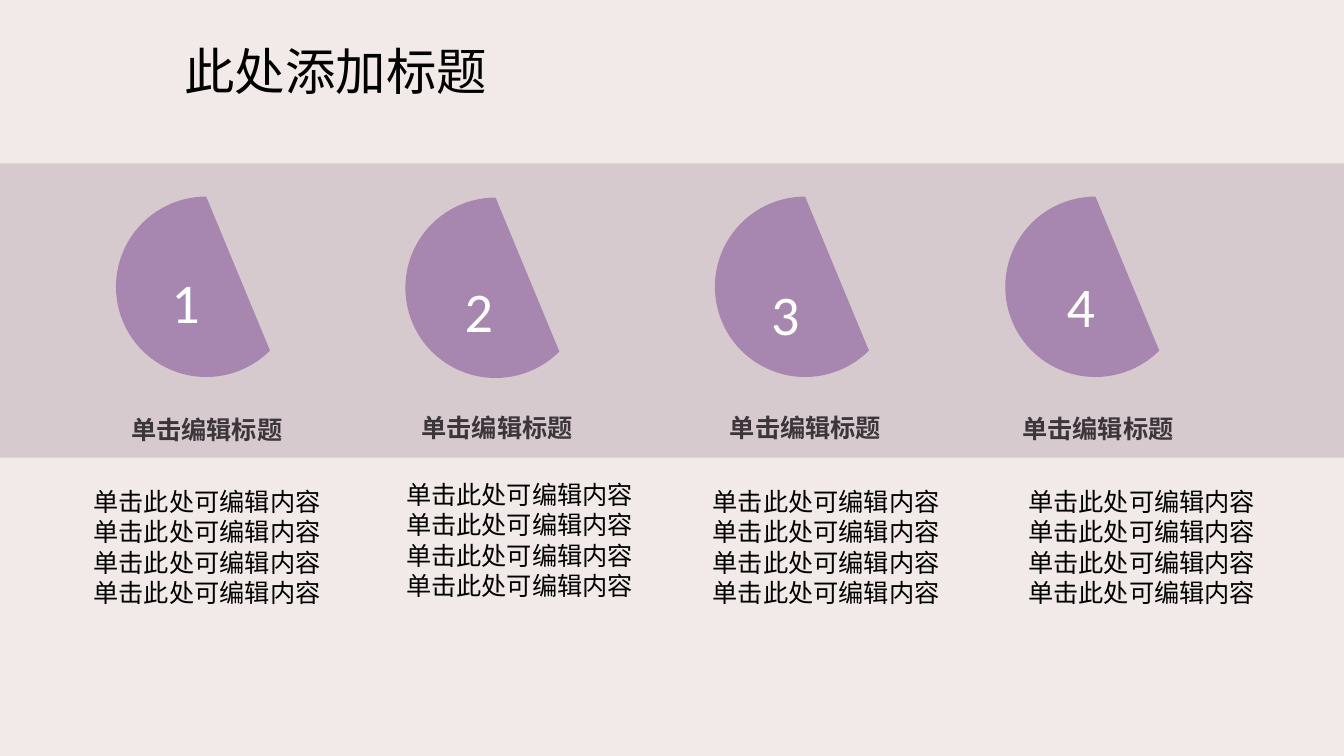
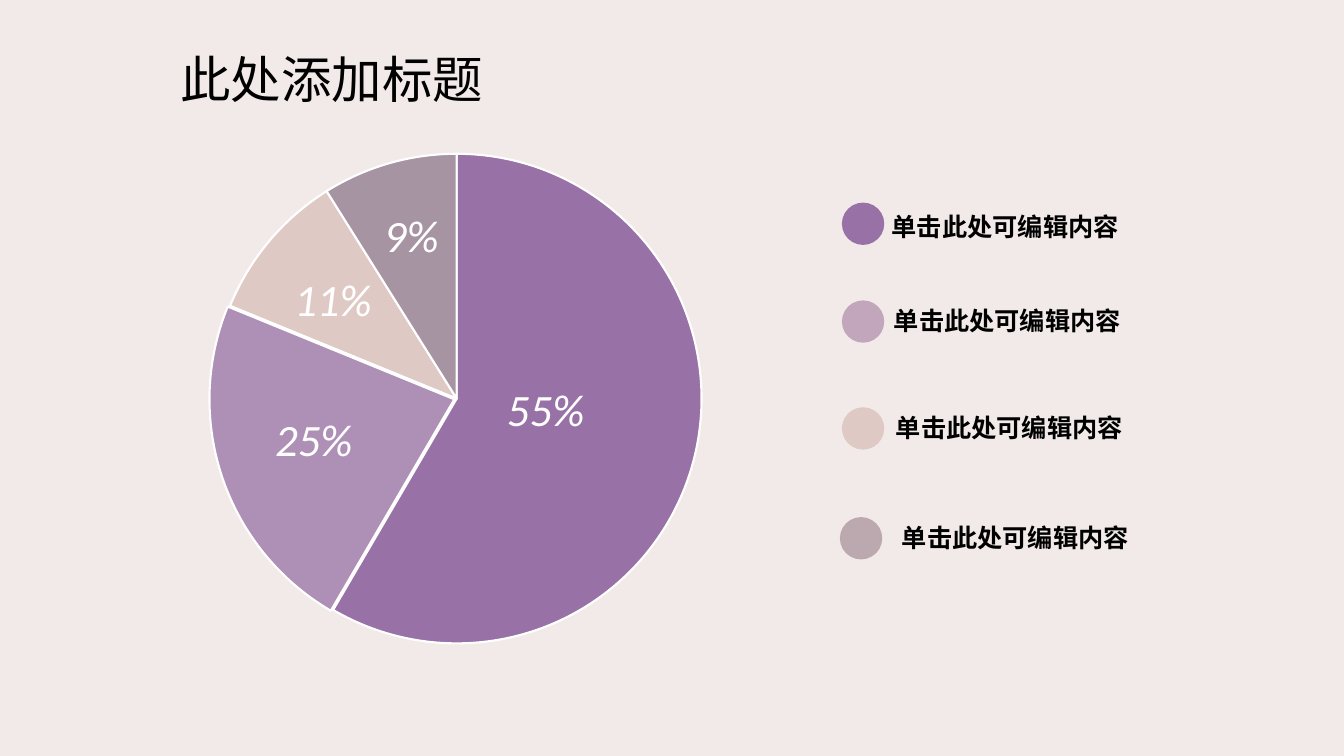
from dataclasses import dataclass

from lxml.etree import SubElement
from pptx import Presentation
from pptx.chart.data import CategoryChartData
from pptx.dml.color import RGBColor
from pptx.enum.chart import XL_CHART_TYPE
from pptx.enum.shapes import MSO_SHAPE
from pptx.enum.text import MSO_ANCHOR, MSO_AUTO_SIZE, PP_ALIGN
from pptx.oxml import parse_xml
from pptx.oxml.ns import nsdecls, qn
from pptx.util import Pt

EMU_PER_PX = 9144  # 100 px to the inch
TITLE_ONLY = 5


@dataclass(frozen=True)
class Theme:
    background: str = "F2EAE9"
    purple: str = "9871A6"
    lilac: str = "C1A6BC"
    blush: str = "DEC9C4"
    mauve: str = "A694A2"
    taupe: str = "BCA9B0"
    black: str = "000000"
    charcoal: str = "3C353A"
    white: str = "FFFFFF"
    latin: str = "Calibri"
    cjk: str = "Noto Sans CJK SC"
    title_size: int = 36
    number_size: int = 40
    percent_size: int = 32
    text_size: int = 18
    chart_size: int = 10
    cjk_leading: float = 1.21
    soft: int = 75
    faint: int = 36


THEME = Theme()


def px(*lengths):
    return [length * EMU_PER_PX for length in lengths]


def rgb(color):
    return RGBColor.from_string(color)


def fade(element, opacity):
    """Set the opacity, in percent, of the first colour inside element."""
    color = next(element.iter(qn("a:srgbClr")))
    SubElement(color, qn("a:alpha"), val=str(opacity * 1000))


def write(frame, text, size=THEME.text_size, color=THEME.black, font=THEME.cjk,
          align=PP_ALIGN.LEFT, bold=False, italic=False):
    frame.word_wrap = True
    frame.auto_size = MSO_AUTO_SIZE.NONE
    frame.vertical_anchor = MSO_ANCHOR.TOP
    paragraph = frame.paragraphs[0]
    paragraph.alignment = align
    if not text.isascii():
        paragraph.line_spacing = Pt(round(size * THEME.cjk_leading, 1))
    run = paragraph.add_run()
    run.text = text
    run.font.size = Pt(size)
    run.font.name = font
    run.font.bold = bold
    run.font.italic = italic
    run.font.color.rgb = rgb(color)
    SubElement(run._r.get_or_add_rPr(), qn("a:ea"), typeface=THEME.cjk)


class Deck:
    def __init__(self, width, height):
        self.presentation = Presentation()
        self.presentation.slide_width, self.presentation.slide_height = px(width, height)
        backdrop = self.presentation.slide_master.background.fill
        backdrop.solid()
        backdrop.fore_color.rgb = rgb(THEME.background)
        self.slide = None

    def new_slide(self, title, left, top):
        layout = self.presentation.slide_layouts[TITLE_ONLY]
        self.slide = self.presentation.slides.add_slide(layout)
        heading = self.slide.shapes.title
        heading.left, heading.top, heading.width, heading.height = px(left, top, 349, 71)
        write(heading.text_frame, title, size=THEME.title_size, font=THEME.latin)

    def text(self, words, left, top, width, height, **style):
        box = self.slide.shapes.add_textbox(*px(left, top, width, height))
        write(box.text_frame, words, **style)

    def shape(self, preset, left, top, width, height, color, opacity=100):
        shape = self.slide.shapes.add_shape(preset, *px(left, top, width, height))
        shape.shadow.inherit = False
        shape.line.fill.background()
        shape.fill.solid()
        shape.fill.fore_color.rgb = rgb(color)
        if opacity < 100:
            fade(shape._element.spPr, opacity)

    def pie(self, values, colors, left, top, width, height, pulled):
        """Draw a pie whose slice number pulled is softer and slightly apart."""
        data = CategoryChartData()
        data.categories = [str(number) for number in range(1, len(values) + 1)]
        data.add_series("Series 1", values)
        chart = self.slide.shapes.add_chart(
            XL_CHART_TYPE.PIE, *px(left, top, width, height), data).chart
        chart.has_legend = False
        chart.has_title = False
        chart.font.size = Pt(THEME.chart_size)
        chart.font.name = THEME.latin
        chart.font.color.rgb = rgb(THEME.black)
        plot = chart.plots[0]
        plot.vary_by_categories = True
        for index, color in enumerate(colors):
            slice_format = plot.series[0].points[index].format
            slice_format.fill.solid()
            slice_format.fill.fore_color.rgb = rgb(color)
            slice_format.line.color.rgb = rgb(THEME.white)
            slice_format.line.width = Pt(1.5)
        pulled_slice = list(chart._chartSpace.iter(qn("c:dPt")))[pulled]
        fade(pulled_slice, THEME.soft)
        pulled_slice.find(qn("c:spPr")).addprevious(
            parse_xml(f'<c:explosion {nsdecls("c")} val="1"/>'))
        self.place_plot(chart, x=0.15, y=0.03, w=0.7, h=0.94)

    def place_plot(self, chart, **fractions):
        plot_area = next(chart._chartSpace.iter(qn("c:plotArea")))
        for old in plot_area.findall(qn("c:layout")):
            plot_area.remove(old)
        sides = "".join(f'<c:{side} val="{value}"/>' for side, value in fractions.items())
        plot_area.insert(0, parse_xml(
            f'<c:layout {nsdecls("c")}><c:manualLayout><c:layoutTarget val="inner"/>'
            f'<c:xMode val="edge"/><c:yMode val="edge"/>{sides}'
            '</c:manualLayout></c:layout>'))


def build_steps(deck):
    deck.new_slide("此处添加标题", 173, 34)
    deck.shape(MSO_SHAPE.RECTANGLE, 0, 162, 1334, 292, THEME.mauve, THEME.faint)
    steps = [  # left and top of the chord, number, label and body
        ((115, 195), (144, 261), (110, 406), (83, 477)),
        ((402, 196), (435, 269), (398, 404), (393, 470)),
        ((709, 195), (739, 272), (704, 404), (697, 477)),
        ((997, 195), (1032, 264), (994, 405), (1010, 477)),
    ]
    for number, (chord, digit, label, body) in enumerate(steps, start=1):
        deck.shape(MSO_SHAPE.CHORD, *chord, 179, 179, THEME.purple, THEME.soft)
        deck.text(str(number), *digit, 80, 77, size=THEME.number_size,
                  color=THEME.white, font=THEME.latin, align=PP_ALIGN.CENTER)
        deck.text("单击编辑标题", *label, 190, 40, color=THEME.charcoal,
                  align=PP_ALIGN.CENTER, bold=True)
        deck.text("单击此处可编辑内容" * 4, *body, 260, 131)


def build_shares(deck):
    deck.new_slide("此处添加标题", 169, 42)
    deck.pie([59, 23, 10, 9], [THEME.purple, THEME.purple, THEME.blush, THEME.mauve],
             106, 135, 694, 521, pulled=1)
    shares = [("55%", 493, 374), ("25%", 263, 404), ("11%", 282, 265), ("9%", 371, 201)]
    for share, left, top in shares:
        deck.text(share, left, top, 125, 64, size=THEME.percent_size,
                  color=THEME.white, font=THEME.latin, italic=True)
    legend = [  # colour, dot left and top, label left and top
        (THEME.purple, (835, 201), (867, 204)),
        (THEME.lilac, (835, 298), (869, 298)),
        (THEME.blush, (835, 404), (871, 404)),
        (THEME.taupe, (833, 513), (877, 513)),
    ]
    for color, dot, label in legend:
        deck.shape(MSO_SHAPE.OVAL, *dot, 42, 42, color)
        deck.text("单击此处可编辑内容", *label, 260, 40, align=PP_ALIGN.CENTER, bold=True)


def main():
    deck = Deck(1333, 750)
    build_steps(deck)
    build_shares(deck)
    deck.presentation.save("out.pptx")


if __name__ == "__main__":
    main()
